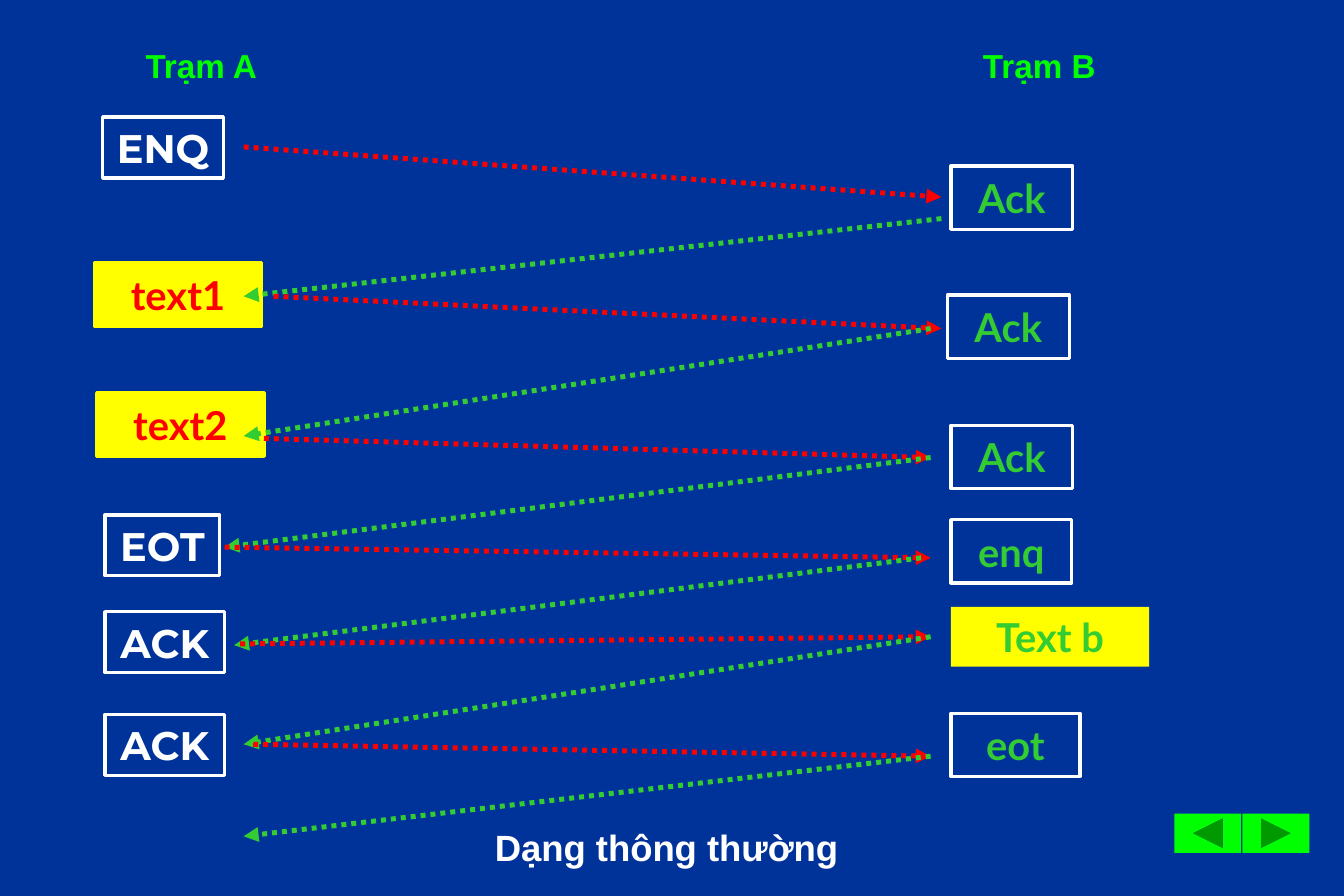
from lxml import etree
from pptx import Presentation
from pptx.dml.color import RGBColor
from pptx.enum.dml import MSO_LINE
from pptx.enum.shapes import MSO_CONNECTOR, MSO_SHAPE
from pptx.enum.text import MSO_ANCHOR, PP_ALIGN
from pptx.oxml.ns import qn
from pptx.util import Inches, Pt

RECTANGLE = MSO_SHAPE.RECTANGLE
BACK = MSO_SHAPE.ACTION_BUTTON_BACK_OR_PREVIOUS
FORWARD = MSO_SHAPE.ACTION_BUTTON_FORWARD_OR_NEXT
STRAIGHT = MSO_CONNECTOR.STRAIGHT
DOTTED = MSO_LINE.ROUND_DOT
MIDDLE, TOP = MSO_ANCHOR.MIDDLE, MSO_ANCHOR.TOP
CENTER, LEFT = PP_ALIGN.CENTER, PP_ALIGN.LEFT

NAVY = RGBColor(0x00, 0x33, 0x99)
WHITE = RGBColor(0xFF, 0xFF, 0xFF)
YELLOW = RGBColor(0xFF, 0xFF, 0x00)
RED = RGBColor(0xFF, 0x00, 0x00)
GREEN = RGBColor(0x33, 0xCC, 0x33)
LIME = RGBColor(0x00, 0xFF, 0x00)


def write(shape, text, font, size, color, align=CENTER, anchor=MIDDLE, wrap=False):
    frame = shape.text_frame
    frame.text = text
    frame.word_wrap = wrap
    frame.vertical_anchor = anchor
    paragraph = frame.paragraphs[0]
    paragraph.alignment = align
    run_font = paragraph.runs[0].font
    run_font.name = font
    run_font.size = Pt(size)
    run_font.bold = True
    run_font.color.rgb = color


def add_arrow(start, end, color):
    arrow = slide.shapes.add_connector(STRAIGHT, *map(Inches, start + end))
    arrow.line.color.rgb = color
    arrow.line.width = Pt(3)
    arrow.line.dash_style = DOTTED
    etree.SubElement(arrow.line._get_or_add_ln(), qn("a:tailEnd"), type="triangle")
    etree.SubElement(arrow._element.spPr, qn("a:effectLst"))


prs = Presentation()
prs.slide_width, prs.slide_height = Inches(11.25), Inches(7.5)
slide = prs.slides.add_slide(prs.slide_layouts[5])
slide.background.fill.solid()
slide.background.fill.fore_color.rgb = NAVY

title = slide.shapes.title
title.left, title.top, title.width, title.height = map(Inches, (3.79, 6.85, 3.58, 0.47))
write(title, "Dạng thông thường", "Arial", 22, WHITE, wrap=True)

for station, left in (("Trạm A", 1.12), ("Trạm B", 8.13)):
    heading = slide.shapes.add_textbox(Inches(left), Inches(0.33), Inches(1.5), Inches(0.44))
    write(heading, station, "Arial", 20, LIME, LEFT, TOP, True)

for button_kind, left in ((BACK, 9.83), (FORWARD, 10.4)):
    button = slide.shapes.add_shape(button_kind, Inches(left), Inches(6.81), Inches(0.56), Inches(0.33))
    button.shadow.inherit = False
    button.fill.solid()
    button.fill.fore_color.rgb = LIME
    button.line.fill.background()

control_a = ("Montserrat", WHITE, NAVY, WHITE)
data_a = ("Lato", RED, YELLOW, YELLOW)
control_b = ("Lato", GREEN, NAVY, WHITE)
data_b = ("Lato", GREEN, YELLOW, None)
messages = [
    ("ENQ", 0.86, 0.98, 1.01, 0.51, control_a),
    ("text1", 0.79, 2.2, 1.4, 0.53, data_a),
    ("text2", 0.81, 3.29, 1.4, 0.53, data_a),
    ("EOT", 0.88, 4.31, 0.96, 0.51, control_a),
    ("ACK", 0.88, 5.12, 1, 0.51, control_a),
    ("ACK", 0.88, 5.98, 1, 0.51, control_a),
    ("Ack", 7.96, 1.39, 1.02, 0.53, control_b),
    ("Ack", 7.93, 2.47, 1.02, 0.53, control_b),
    ("Ack", 7.96, 3.56, 1.02, 0.53, control_b),
    ("enq", 7.96, 4.35, 1.01, 0.53, control_b),
    ("Text b", 7.96, 5.08, 1.66, 0.5, data_b),
    ("eot", 7.96, 5.97, 1.08, 0.53, control_b),
]
for text, left, top, width, height, (font, text_color, fill_color, border_color) in messages:
    message = slide.shapes.add_shape(RECTANGLE, *map(Inches, (left, top, width, height)))
    message.shadow.inherit = False
    message.fill.solid()
    message.fill.fore_color.rgb = fill_color
    if border_color is None:
        message.line.fill.background()
    else:
        message.line.color.rgb = border_color
        message.line.width = Pt(2)
    write(message, text, font, 24, text_color)

exchanges = [
    ((2.04, 1.23), (7.88, 1.65), (7.88, 1.83), (2.04, 2.48)),
    ((2.29, 2.48), (7.88, 2.75), (7.79, 2.75), (2.04, 3.65)),
    ((2.21, 3.67), (7.79, 3.83), (7.79, 3.83), (1.88, 4.58)),
    ((1.88, 4.58), (7.79, 4.67), (7.71, 4.67), (1.96, 5.4)),
    ((2.01, 5.39), (7.79, 5.33), (7.79, 5.33), (2.04, 6.23)),
    ((2.12, 6.23), (7.79, 6.33), (7.79, 6.33), (2.04, 7)),
]
for sent, received, replied, returned in exchanges:
    add_arrow(sent, received, RED)
    add_arrow(replied, returned, GREEN)

prs.save("out.pptx")
